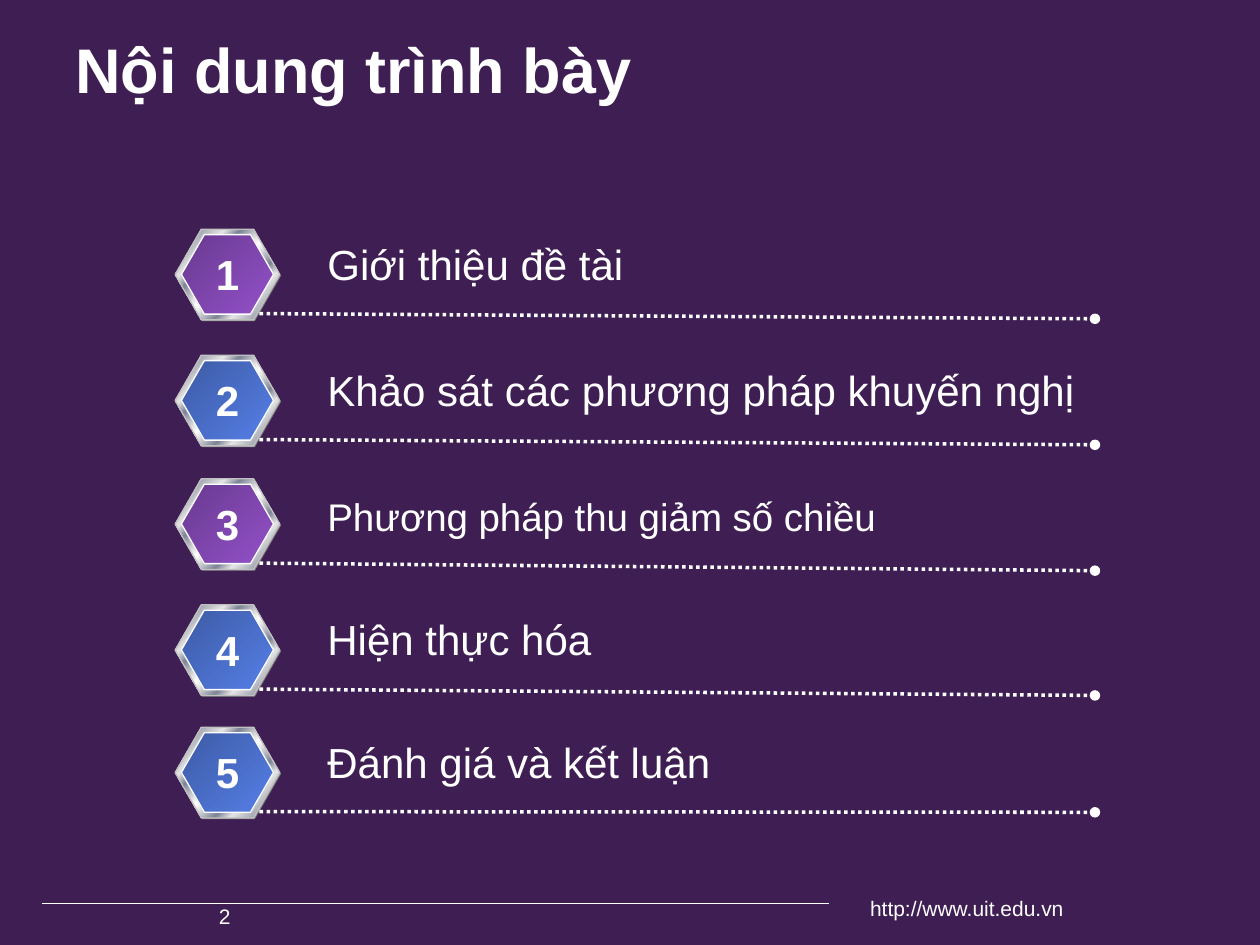
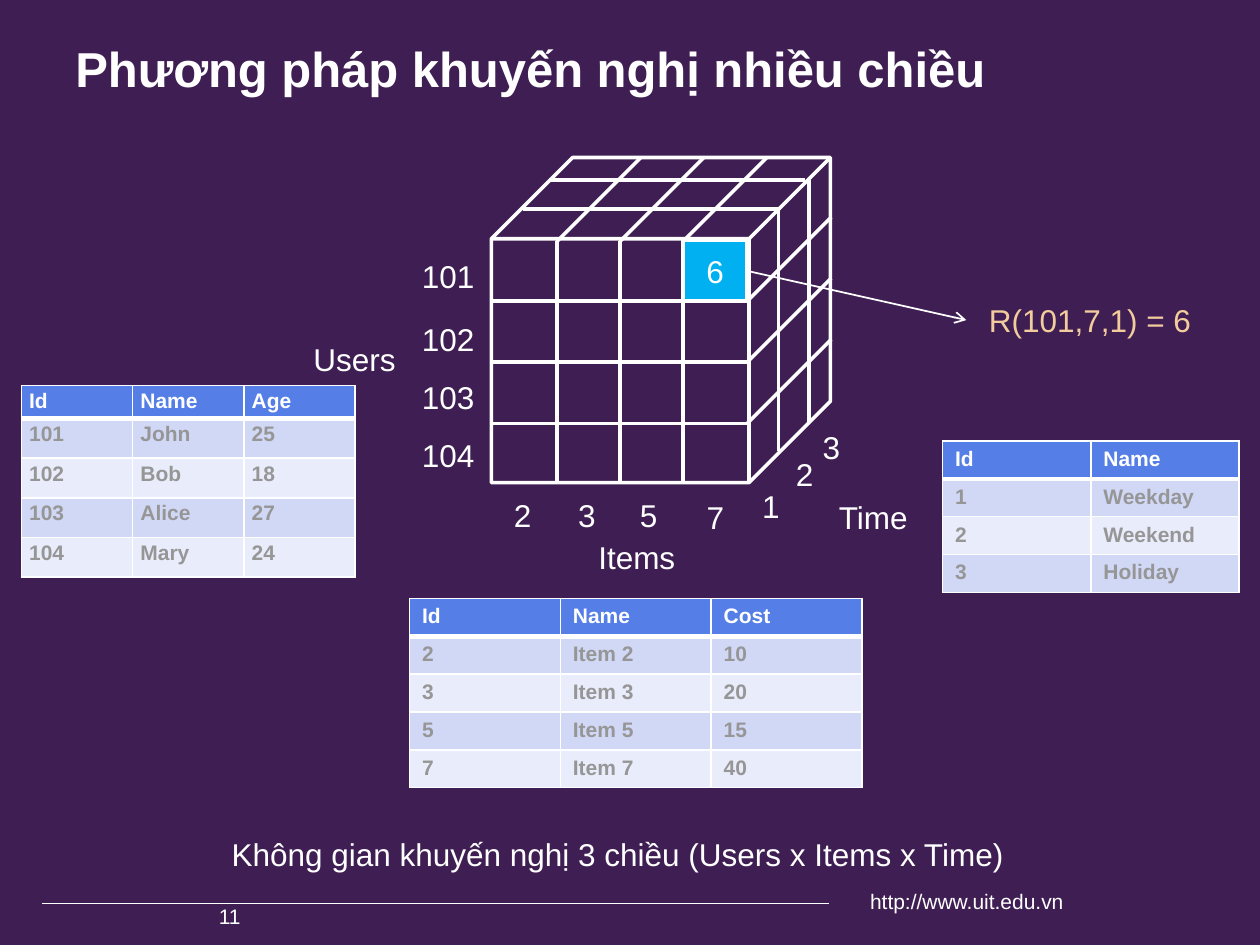
"""Build two slides on multi-dimensional recommendation: an agenda and a data cube."""
from lxml.etree import SubElement
from pptx import Presentation
from pptx.dml.color import RGBColor
from pptx.enum.dml import MSO_LINE
from pptx.enum.shapes import MSO_CONNECTOR, MSO_SHAPE
from pptx.enum.text import MSO_ANCHOR, MSO_AUTO_SIZE, PP_ALIGN
from pptx.oxml.ns import qn
from pptx.util import Pt

FONT = "Arial"
PLUM = RGBColor(0x3F, 0x1F, 0x53)
WHITE = RGBColor(0xFF, 0xFF, 0xFF)
SAND = RGBColor(0xF3, 0xCC, 0x9D)
CYAN = RGBColor(0x00, 0xB0, 0xF0)
SHADE = RGBColor(0x80, 0x80, 0x80)
SILVER = RGBColor(0xC0, 0xC0, 0xC0)
LIGHT = RGBColor(0xE6, 0xE6, 0xE6)
STEEL = RGBColor(0x7D, 0x84, 0x96)
HEADER_BLUE = RGBColor(0x55, 0x7F, 0xE7)
BAND_DARK = RGBColor(0xD1, 0xD8, 0xF6)
BAND_LIGHT = RGBColor(0xE9, 0xEC, 0xFA)
CELL_GREY = RGBColor(0x96, 0x96, 0x96)
METAL = [(0, LIGHT), (7, STEEL), (26, LIGHT), (34, STEEL), (46, LIGHT), (50, WHITE),
         (54, LIGHT), (66, STEEL), (74, LIGHT), (93, STEEL), (100, LIGHT)]
PURPLE = [(0, RGBColor(0x69, 0x3A, 0x90)), (100, RGBColor(0x93, 0x51, 0xC9))]
BLUE = [(0, RGBColor(0x3D, 0x5B, 0xA5)), (100, HEADER_BLUE)]


def add_text(s, text, x, y, w, h=28.8, size=18, color=WHITE, bold=False,
             align=PP_ALIGN.LEFT, wrap=False):
    tf = s.shapes.add_textbox(Pt(x), Pt(y), Pt(w), Pt(h)).text_frame
    tf.word_wrap = wrap
    tf.auto_size = MSO_AUTO_SIZE.NONE if wrap else MSO_AUTO_SIZE.SHAPE_TO_FIT_TEXT
    p = tf.paragraphs[0]
    p.alignment = align
    r = p.add_run()
    r.text = text
    r.font.name, r.font.size, r.font.bold = FONT, Pt(size), bold
    r.font.color.rgb = color
    return tf


def add_line(s, x1, y1, x2, y2, width=2, tail=None):
    line = s.shapes.add_connector(MSO_CONNECTOR.STRAIGHT, Pt(x1), Pt(y1), Pt(x2), Pt(y2))
    line.line.color.rgb = WHITE
    line.line.width = Pt(width)
    sp_pr = line.element.spPr
    if tail:
        SubElement(sp_pr.find(qn("a:ln")), qn("a:tailEnd"), type=tail)
    SubElement(sp_pr, qn("a:effectLst"))
    return line


prs = Presentation()
prs.slide_width, prs.slide_height = Pt(720), Pt(540)

slides = []
for title, size, number, address_y in [
    ("Nội dung trình bày", 36, "2", 508.3),
    ("Phương pháp khuyến nghị nhiều chiều", 28, "11", 504),
]:
    s = prs.slides.add_slide(prs.slide_layouts[6])
    s.background.fill.solid()
    s.background.fill.fore_color.rgb = PLUM
    add_line(s, 24, 516, 474, 516, 0.5)
    tf = add_text(s, title, 36, 21, 573, 36, size, bold=True, wrap=True)
    tf.vertical_anchor = MSO_ANCHOR.MIDDLE
    add_text(s, "http://www.uit.edu.vn", 474, address_y, 141, 24.5, 12,
             align=PP_ALIGN.RIGHT, wrap=True)
    add_text(s, number, 118, 512.6, 102, 19.4, 12, wrap=True)
    slides.append(s)
agenda, cube_slide = slides

topics = [
    ("Giới thiệu đề tài", 131, 132.5, 185.8, 24, 3, PURPLE),
    ("Khảo sát các phương pháp khuyến nghị", 203, 204.5, 445.7, 24, 3, BLUE),
    ("Phương pháp thu giảm số chiều", 273.6, 278, 338.4, 22, 4.3, PURPLE),
    ("Hiện thực hóa", 345.6, 347, 167, 24, 3.6, BLUE),
    ("Đánh giá và kết luận", 415.6, 417.6, 235.4, 24, 0.4, BLUE),
]
for number, (topic, top, text_top, width, size, drop, tint) in enumerate(topics, 1):
    badge = agenda.shapes.add_group_shape()
    for x, y, w, h, stops, edge in [
        (100.8, top + 0.7, 59.8, 51.8, None, None),
        (100.1, top, 59.8, 51.8, METAL, SILVER),
        (103.7, top + 3.1, 52.6, 45.4, tint, WHITE),
    ]:
        sp = badge.shapes.add_shape(MSO_SHAPE.HEXAGON, Pt(x), Pt(y), Pt(w), Pt(h))
        sp.shadow.inherit = False
        sp.adjustments[0], sp.adjustments[1] = 0.289, 1.155
        if stops:
            sp.fill.gradient()
            sp.fill.gradient_angle = 315
            gs_list = sp.element.spPr.find(".//" + qn("a:gsLst"))
            gs_list.clear()
            for pos, color in stops:
                gs = SubElement(gs_list, qn("a:gs"), pos=str(pos * 1000))
                SubElement(gs, qn("a:srgbClr"), val=str(color))
            sp.line.color.rgb = edge
            sp.line.width = Pt(0.75)
        else:
            sp.fill.solid()
            sp.fill.fore_color.rgb = SHADE
            sp.line.fill.background()
    rule = add_line(agenda, 148.3, top + 48.2, 625.7, top + 48.2 + drop, tail="oval")
    rule.line.dash_style = MSO_LINE.ROUND_DOT
    add_text(agenda, topic, 180, text_top, width, 36, size)
    add_text(agenda, str(number), 116, top + 7.6, 28, 36, 24, bold=True,
             align=PP_ALIGN.CENTER)

s = cube_slide
LEFT, RIGHT, TOP, FRONT_TOP, BOTTOM, DEPTH = 280.8, 427, 90, 138, 275.8, 48
cube = s.shapes.add_shape(MSO_SHAPE.CUBE, Pt(LEFT), Pt(TOP), Pt(193.7), Pt(185.8))
cube.shadow.inherit = False
cube.fill.background()
cube.line.color.rgb = WHITE
cube.line.width = Pt(2)
for i in range(3):
    x, y = 318.2 + 36 * i, 172.1 + 34.9 * i
    add_line(s, x, FRONT_TOP, x + DEPTH, TOP)
    add_line(s, x, FRONT_TOP, x, BOTTOM)
    add_line(s, RIGHT, y, RIGHT + DEPTH, y - DEPTH)
    add_line(s, RIGHT, y, LEFT, y)
for side_x, top_x, y in [(445, 445, 119.5), (462.2, 460, 103)]:
    add_line(s, side_x, y, side_x, y + 138.5)
    add_line(s, top_x, y, top_x - 146.4, y)

rating = s.shapes.add_shape(MSO_SHAPE.RECTANGLE, Pt(390.3), Pt(137.5), Pt(36.7), Pt(34.6))
rating.shadow.inherit = False
rating.fill.solid()
rating.fill.fore_color.rgb = CYAN
rating.line.color.rgb = WHITE
rating.line.width = Pt(2)
tf = rating.text_frame
tf.vertical_anchor = MSO_ANCHOR.MIDDLE
p = tf.paragraphs[0]
p.alignment = PP_ALIGN.CENTER
r = p.add_run()
r.text = "6"
r.font.name, r.font.size = FONT, Pt(18)
r.font.color.rgb = WHITE

add_line(s, RIGHT, 154.8, 552.2, 182.9, 1, "arrow")
add_text(s, "R(101,7,1) = 6", 558, 168.5, 131, color=SAND)
for text, x, y, w in [
    ("2", 286.6, 280, 24.5), ("3", 323.3, 280, 24.5),
    ("5", 358.6, 280, 24.5), ("7", 396.7, 280.8, 24.5),
    ("1", 428.4, 275, 24.5), ("2", 447.8, 256.3, 24.5), ("3", 463, 241.2, 24.5),
    ("101", 234, 143.3, 44.6), ("102", 234, 179.3, 44.6),
    ("103", 234, 212.4, 44.6), ("104", 234, 245.5, 44.6),
    ("Users", 172, 190.8, 62), ("Items", 334.8, 303.8, 59), ("Time", 472.3, 280.8, 54),
    ("Không gian khuyến nghị 3 chiều (Users x Items x Time)", 125.3, 473.8, 468.7),
]:
    add_text(s, text, x, y, w)

users = [("Id", "Name", "Age"), ("101", "John", "25"), ("102", "Bob", "18"),
         ("103", "Alice", "27"), ("104", "Mary", "24")]
times = [("Id", "Name"), ("1", "Weekday"), ("2", "Weekend"), ("3", "Holiday")]
items = [("Id", "Name", "Cost"), ("2", "Item 2", "10"), ("3", "Item 3", "20"),
         ("5", "Item 5", "15"), ("7", "Item 7", "40")]
for rows, x, y, col_w, head_h, row_h, inset_x, inset_y in [
    (users, 12.2, 220.3, 63.6, 18.7, 22.7, 4.5, 2.2),
    (times, 538.6, 252, 84.7, 21.6, 21.6, 7.2, 3.6),
    (items, 234, 342, 86.2, 21.6, 21.6, 7.2, 3.6),
]:
    cols = len(rows[0])
    height = head_h + row_h * (len(rows) - 1)
    table = s.shapes.add_table(len(rows), cols, Pt(x), Pt(y),
                               Pt(col_w * cols), Pt(height)).table
    for col in table.columns:
        col.width = Pt(col_w)
    for i, row in enumerate(rows):
        table.rows[i].height = Pt(row_h if i else head_h)
        for j, text in enumerate(row):
            cell = table.cell(i, j)
            cell.margin_left = cell.margin_right = Pt(inset_x)
            cell.margin_top = cell.margin_bottom = Pt(inset_y)
            tc_pr = cell._tc.get_or_add_tcPr()
            for side, width in [("L", 1), ("R", 1), ("T", 3 if i == 1 else 1),
                                ("B", 1 if i else 3)]:
                ln = SubElement(tc_pr, qn("a:ln" + side), w=str(Pt(width)))
                fill = SubElement(ln, qn("a:solidFill"))
                SubElement(fill, qn("a:srgbClr"), val=str(WHITE))
            cell.fill.solid()
            band = BAND_DARK if i % 2 else BAND_LIGHT
            cell.fill.fore_color.rgb = band if i else HEADER_BLUE
            r = cell.text_frame.paragraphs[0].add_run()
            r.text = text
            r.font.name, r.font.size, r.font.bold = FONT, Pt(12), True
            r.font.color.rgb = CELL_GREY if i else WHITE

prs.save("out.pptx")
